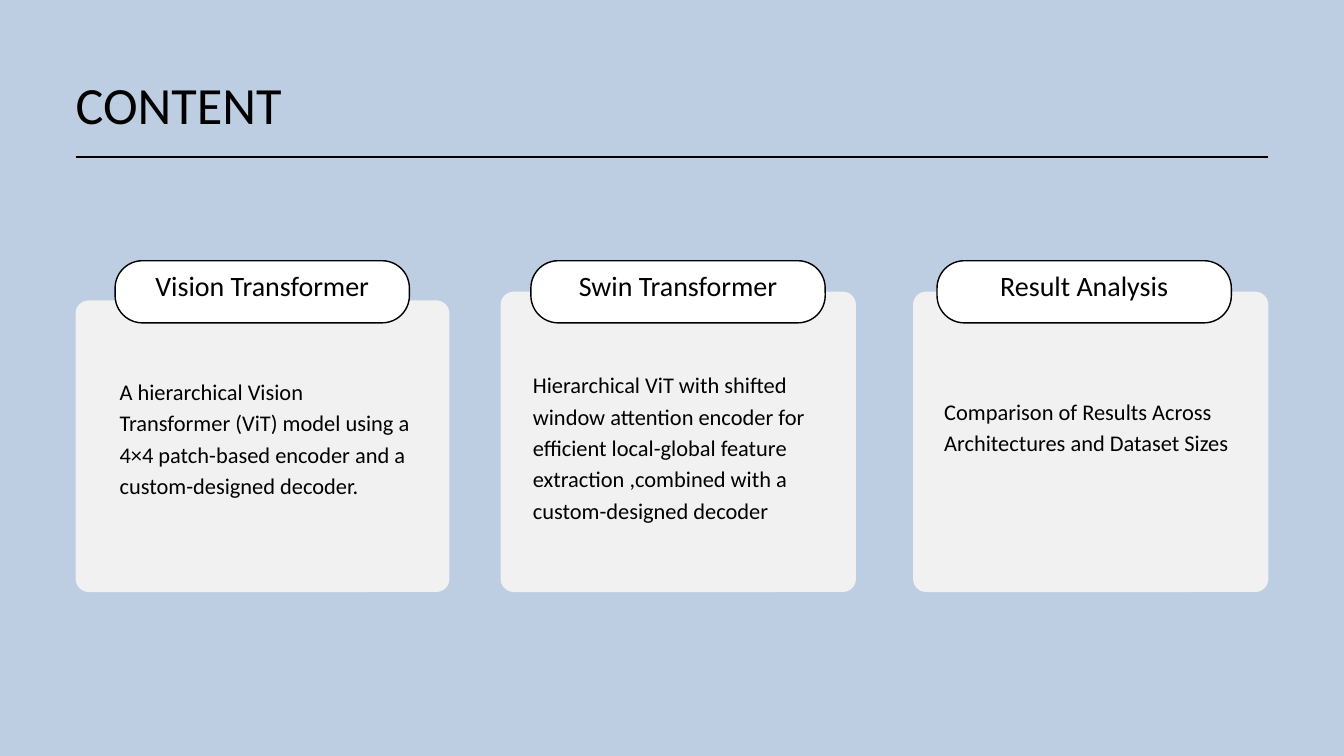
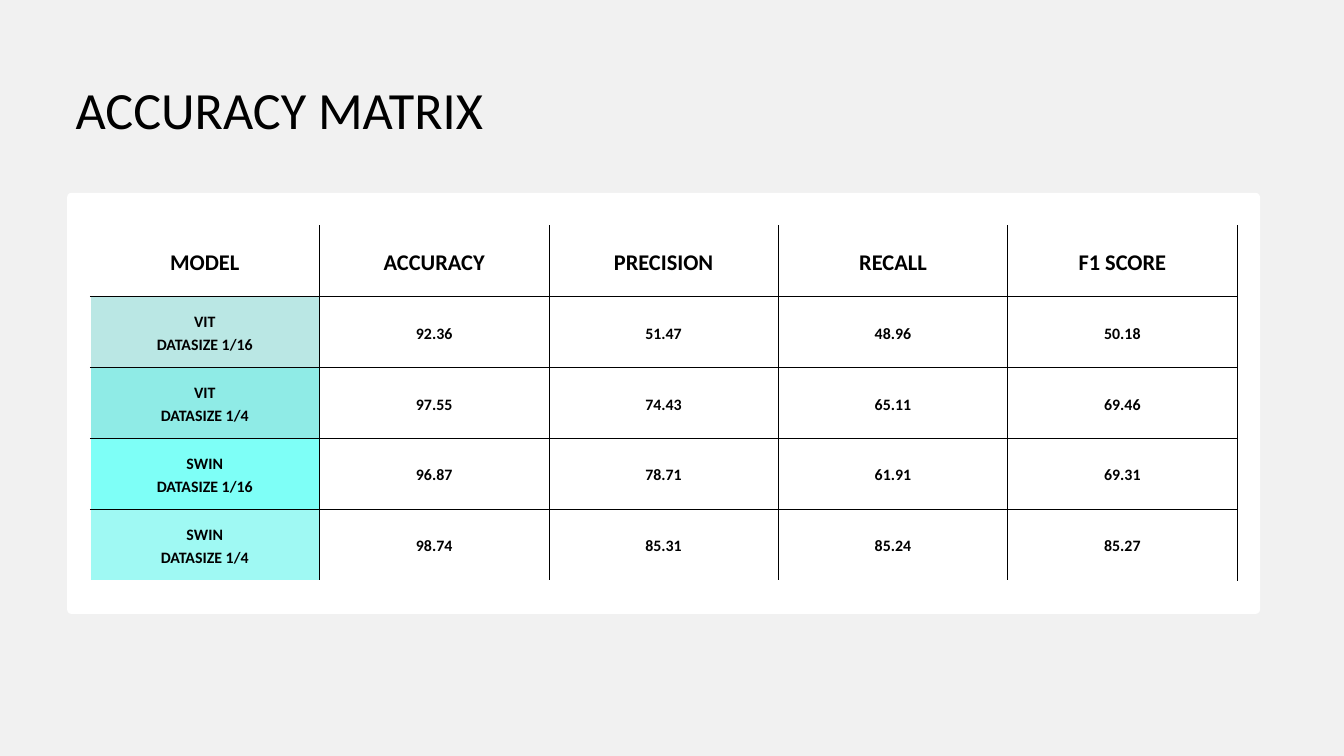
from typing import NamedTuple

from lxml.etree import SubElement
from pptx import Presentation
from pptx.dml.color import RGBColor
from pptx.enum.shapes import MSO_CONNECTOR, MSO_SHAPE
from pptx.enum.text import MSO_ANCHOR as Anchor, MSO_AUTO_SIZE as AutoSize, PP_ALIGN as Align
from pptx.oxml.ns import qn
from pptx.util import Emu, Inches, Pt

COLS, ROWS = 160, 90
UNIT = Inches(20) // COLS
FONT = "Calibri"
BLACK, WHITE, GREY, BLUE = "000000", "FFFFFF", "F1F1F1", "BDCDE2"
MARGIN, CONTENT_W = 9, 142
CARD_BOTTOM, CARD_RADIUS = 70.48, 1.56
PILL_TOP, PILL_W, PILL_H, PILL_RADIUS = 31.04, 35.04, 7.4, 3.25
BODY_W = 34.88
LEADING = 1.4


class Box(NamedTuple):
    left: float
    top: float
    width: float
    height: float


class Card(NamedTuple):
    heading: str
    body: str
    left: float
    top: float
    width: float
    pill_left: float
    body_left: float
    body_top: float
    body_height: float


class Result(NamedTuple):
    model: str
    data_size: str
    fill: str
    scores: tuple[str, ...]


CARDS = [
    Card("Vision Transformer",
         "A hierarchical Vision Transformer (ViT) model using a 4×4 patch-based "
         "encoder and a custom-designed decoder.",
         MARGIN, 35.76, 44.5, 13.7, 14.24, 44.48, 18.32),
    Card("Swin Transformer",
         "Hierarchical ViT with shifted window attention encoder for efficient "
         "local-global feature extraction ,combined with a custom-designed decoder",
         59.6, 34.72, 42.3, 63.2, 63.44, 43.68, 18.32),
    Card("Result Analysis",
         "Comparison of Results Across Architectures and Dataset Sizes",
         108.7, 34.72, 42.3, 111.55, 112.4, 46.88, 10.96),
]
HEADERS = ("MODEL", "ACCURACY", "PRECISION", "RECALL", "F1 SCORE")
RESULTS = [
    Result("VIT", "1/16", "BAE7E4", ("92.36", "51.47", "48.96", "50.18")),
    Result("VIT", "1/4", "8FEBE6", ("97.55", "74.43", "65.11", "69.46")),
    Result("SWIN", "1/16", "7EFFF7", ("96.87", "78.71", "61.91", "69.31")),
    Result("SWIN", "1/4", "9FF9F3", ("98.74", "85.31", "85.24", "85.27")),
]


def grid(n: float) -> Emu:
    """Turn grid units into a length."""
    return Emu(round(n * UNIT))


def place(box: Box) -> tuple[Emu, ...]:
    """Turn a box in grid units into lengths."""
    return tuple(grid(n) for n in box)


def color(hex_code: str) -> RGBColor:
    """Turn a hex string into a colour."""
    return RGBColor.from_string(hex_code)


def paint(target, hex_code: str) -> None:
    """Fill a shape, cell or background with one colour."""
    target.fill.solid()
    target.fill.fore_color.rgb = color(hex_code)


def write(tf, lines: list[str], size: float, align=Align.LEFT,
          bold: bool = False, leading: float = LEADING) -> None:
    """Write one paragraph per line with an exact line height."""
    for i, line in enumerate(lines):
        p = tf.add_paragraph() if i else tf.paragraphs[0]
        p.alignment = align
        p.line_spacing = Pt(size * leading)
        r = p.add_run()
        r.text = line
        r.font.name = FONT
        r.font.size = Pt(size)
        r.font.bold = bold
        r.font.color.rgb = color(BLACK)


def set_margins(target, left: float = 0, top: float = 0,
                right: float = 0, bottom: float = 0) -> None:
    """Set the insets of a text frame or cell in grid units."""
    target.margin_left, target.margin_top = grid(left), grid(top)
    target.margin_right, target.margin_bottom = grid(right), grid(bottom)


def add_slide(prs, title: str, background: str, top: float):
    """Add a titled slide on a plain background."""
    slide = prs.slides.add_slide(prs.slide_layouts[5])
    paint(slide.background, background)
    sp = slide.shapes.title
    sp.left, sp.top, sp.width, sp.height = place(Box(MARGIN, top, CONTENT_W, 7.08))
    tf = sp.text_frame
    tf.word_wrap = True
    tf.auto_size = AutoSize.NONE
    tf.vertical_anchor = Anchor.TOP
    set_margins(tf)
    write(tf, [title], 56, leading=1.1)
    return slide


def add_panel(slide, box: Box, radius: float, fill: str, outline: float = 0):
    """Add a rounded rectangle with an optional black outline."""
    sp = slide.shapes.add_shape(MSO_SHAPE.ROUNDED_RECTANGLE, *place(box))
    sp.adjustments[0] = radius / min(box.width, box.height)
    sp.shadow.inherit = False
    paint(sp, fill)
    if outline:
        sp.line.color.rgb = color(BLACK)
        sp.line.width = Pt(outline)
    else:
        sp.line.fill.background()
    return sp


def add_rule(slide, top: float) -> None:
    """Draw the line below the title."""
    line = slide.shapes.add_connector(
        MSO_CONNECTOR.STRAIGHT, grid(MARGIN), grid(top), grid(MARGIN + CONTENT_W), grid(top))
    line.line.color.rgb = color(BLACK)
    line.line.width = Pt(2)
    SubElement(line._element.spPr, qn("a:effectLst"))


def add_card(slide, card: Card) -> None:
    """Draw a card with its heading pill and body text."""
    add_panel(slide, Box(card.left, card.top, card.width, CARD_BOTTOM - card.top),
              CARD_RADIUS, GREY)
    pill = add_panel(slide, Box(card.pill_left, PILL_TOP, PILL_W, PILL_H),
                     PILL_RADIUS, WHITE, outline=1.5)
    tf = pill.text_frame
    tf.word_wrap = True
    tf.vertical_anchor = Anchor.MIDDLE
    set_margins(tf, left=0.5, right=0.5, bottom=2.2)
    write(tf, [card.heading], 30, Align.CENTER)
    body = slide.shapes.add_textbox(
        *place(Box(card.body_left, card.body_top, BODY_W, card.body_height)))
    body.text_frame.word_wrap = True
    set_margins(body.text_frame)
    write(body.text_frame, [card.body], 24)


def set_borders(cell, **sides: str) -> None:
    """Draw the borders of a cell, given as side=colour in L, R, T, B order."""
    tc_pr = cell._tc.get_or_add_tcPr()
    for i, (side, hex_code) in enumerate(sides.items()):
        ln = SubElement(tc_pr, qn(f"a:ln{side}"), w=str(Pt(0.75)))
        fill = SubElement(ln, qn("a:solidFill"))
        SubElement(fill, qn("a:srgbClr"), val=hex_code)
        tc_pr.insert(i, ln)


def add_results(slide, box: Box) -> None:
    """Add the table of scores per model."""
    rows = [[[h] for h in HEADERS]]
    rows += [[[res.model, f"DATASIZE {res.data_size}"], *([s] for s in res.scores)]
             for res in RESULTS]
    n_rows, n_cols = len(rows), len(HEADERS)
    table = slide.shapes.add_table(n_rows, n_cols, *place(box)).table
    table.first_row = table.horz_banding = False
    for column in table.columns:
        column.width = grid(box.width / n_cols)
    for i, row in enumerate(rows):
        table.rows[i].height = grid(box.height / n_rows)
        for j, lines in enumerate(row):
            cell = table.cell(i, j)
            cell.vertical_anchor = Anchor.MIDDLE
            set_margins(cell, 1.5, 1.5, 1.5, 1.5)
            paint(cell, RESULTS[i - 1].fill if i and not j else WHITE)
            set_borders(cell, L=BLACK if j else WHITE, R=BLACK,
                        T=BLACK if i else WHITE, B=BLACK if i < n_rows - 1 else WHITE)
            write(cell.text_frame, lines, 17 if i else 24, Align.CENTER, bold=True)


def main() -> None:
    """Build the two slides and save them."""
    prs = Presentation()
    prs.slide_width, prs.slide_height = grid(COLS), grid(ROWS)

    content = add_slide(prs, "CONTENT", BLUE, 9.28)
    add_rule(content, 18.64)
    for card in CARDS:
        add_card(content, card)

    accuracy = add_slide(prs, "ACCURACY MATRIX", GREY, 9.84)
    add_panel(accuracy, Box(8, 22.96, CONTENT_W, 50.12), 0.5, WHITE)
    add_results(accuracy, Box(10.72, 26.88, 136.56, 42.24))

    prs.save("out.pptx")


if __name__ == "__main__":
    main()
